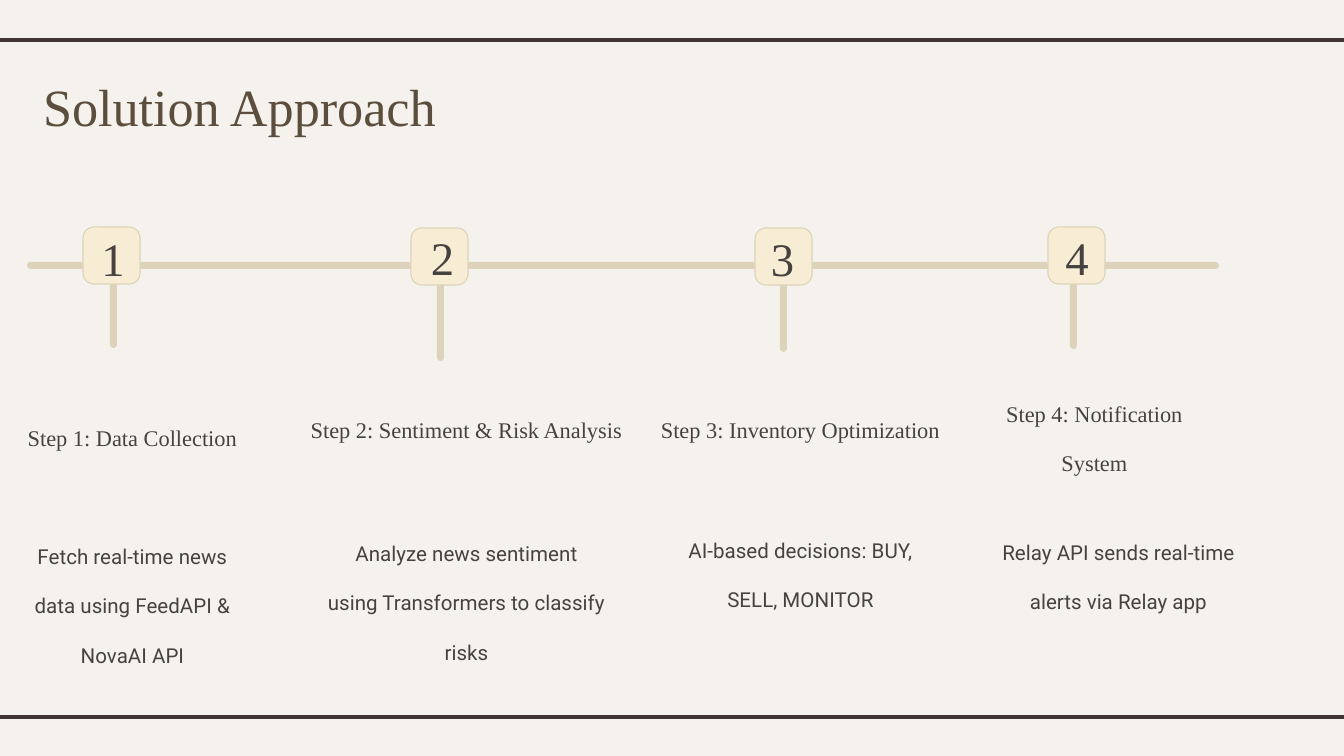
from dataclasses import dataclass

from pptx import Presentation
from pptx import util as u
from pptx.dml import color
from pptx.enum import shapes, text
from pptx.oxml import xmlchemy

EMU_PER_PX = 914400 / 134.4
WIDTH, HEIGHT = 1344, 756
SERIF, SANS = "Times New Roman", "Roboto"
INK, BROWN, RULE = "454240", "5C4E3D", "3F3533"
SAND, CREAM, PAPER = "DDD3BA", "F7EDD4", "F5F2EE"


@dataclass
class Step:
    stem: tuple
    badge: tuple
    digit: tuple
    heading_at: tuple
    heading: list
    body_at: tuple
    body: list


STEPS = [
    Step((110, 261), (83, 227), (105, 239, 16, 38),
         (27, 403, 211, 78), ["Step 1: Data Collection"],
         (27, 519, 211, 121),
         ["Fetch real-time news data using FeedAPI & NovaAI API"]),
    Step((437, 274), (411, 228), (431, 238, 23, 38),
         (308, 395, 317, 78), ["Step 2: Sentiment & Risk Analysis"],
         (308, 516, 317, 121),
         ["Analyze news sentiment", "using Transformers to classify risks"]),
    Step((780, 265), (755, 228), (771, 239, 23, 38),
         (642, 395, 317, 78), ["Step 3: Inventory Optimization"],
         (642, 513, 317, 81),
         ["AI-based decisions: BUY,", "SELL, MONITOR"]),
    Step((1070, 262), (1048, 227), (1066, 238, 22, 38),
         (936, 379, 317, 78), ["Step 4: Notification", "System"],
         (960, 515, 317, 81),
         ["Relay API sends real-time", "alerts via Relay app"]),
]


def px(n):
    return u.Emu(round(n * EMU_PER_PX))


def paint(fmt, hex_color):
    fmt.solid()
    fmt.fore_color.rgb = color.RGBColor.from_string(hex_color)


def place(sp, x, y, w, h):
    sp.left, sp.top, sp.width, sp.height = px(x), px(y), px(w), px(h)


def write(sp, lines, font, size, hex_color, spacing, align, wrap=True):
    tf = sp.text_frame
    tf.margin_left = tf.margin_right = tf.margin_top = tf.margin_bottom = 0
    tf.vertical_anchor = text.MSO_ANCHOR.TOP
    tf.auto_size = text.MSO_AUTO_SIZE.NONE
    tf.word_wrap = wrap
    tf.text = "\n".join(lines)
    for p in tf.paragraphs:
        p.alignment = align
        p.line_spacing = u.Pt(spacing)
        p.font.name = font
        p.font.size = u.Pt(size)
        paint(p.font.fill, hex_color)


def add_title(s, words):
    sp = s.shapes.title
    place(sp, 43, 40, 1078, 78)
    write(sp, [words], SERIF, 28, BROWN, 52, text.PP_ALIGN.LEFT)


def add_text(s, box, lines, font, size, spacing, wrap=True):
    sp = s.shapes.add_textbox(*map(px, box))
    write(sp, lines, font, size, INK, spacing, text.PP_ALIGN.CENTER, wrap)


def add_round(s, box, fill, radius, line=None):
    sp = s.shapes.add_shape(shapes.MSO_SHAPE.ROUNDED_RECTANGLE, *map(px, box))
    sp.adjustments[0] = radius
    sp.shadow.inherit = False
    paint(sp.fill, fill)
    if line:
        paint(sp.line.fill, line)
        sp.line.width = u.Pt(0.6)
    else:
        sp.line.fill.background()


def add_rule(s, y):
    c = s.shapes.add_connector(shapes.MSO_CONNECTOR.STRAIGHT,
                               px(-11), px(y), px(WIDTH + 11), px(y))
    paint(c.line.fill, RULE)
    c.line.width = u.Pt(2.25)
    c._element.spPr.append(xmlchemy.OxmlElement("a:effectLst"))


def add_step(s, number, step):
    add_round(s, (*step.stem, 7, 87), SAND, 0.5)
    add_round(s, (*step.badge, 57, 57), CREAM, 0.19, SAND)
    add_text(s, step.digit, [str(number)], SERIF, 25, 25, wrap=False)
    add_text(s, step.heading_at, step.heading, SERIF, 12, 26)
    add_text(s, step.body_at, step.body, SANS, 11, 26.5)


def main():
    prs = Presentation()
    prs.slide_width, prs.slide_height = px(WIDTH), px(HEIGHT)
    s = prs.slides.add_slide(prs.slide_layouts[5])
    paint(s.background.fill, PAPER)
    for y in (40, 717):
        add_rule(s, y)
    add_title(s, "Solution Approach")
    add_round(s, (27, 262, 1192, 7), SAND, 0.5)
    for number, step in enumerate(STEPS, 1):
        add_step(s, number, step)
    prs.save("out.pptx")


if __name__ == "__main__":
    main()
